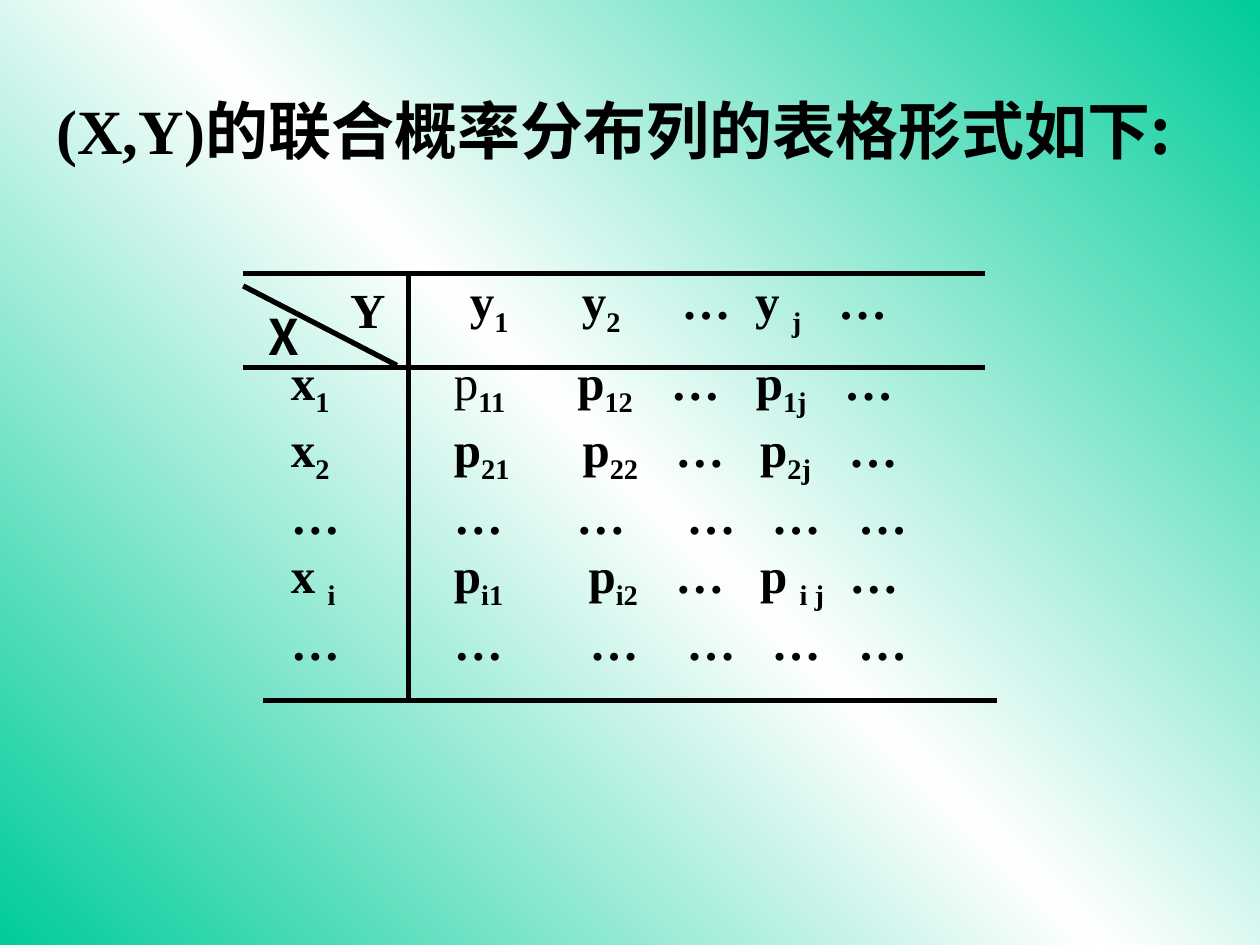
import copy
from typing import NamedTuple

import pptx
import pptx.dml.color
import pptx.enum.shapes
import pptx.enum.text
import pptx.oxml
import pptx.oxml.ns
import pptx.util

Pt = pptx.util.Pt
qn = pptx.oxml.ns.qn
BLACK = pptx.dml.color.RGBColor(0, 0, 0)
GREEN = pptx.dml.color.RGBColor(0x00, 0xCC, 0x99)
WHITE = pptx.dml.color.RGBColor(0xFF, 0xFF, 0xFF)
SERIF = "Times New Roman"
CJK = "Noto Sans CJK SC"
DOTS = "…"


class Span(NamedTuple):
    text: str
    font: str = SERIF
    sub: bool = False
    bold: bool = True


class Row(NamedTuple):
    spans: list[Span]
    stops: tuple[float, ...] = ()


class Box(NamedTuple):
    left: float
    top: float
    width: float
    height: float
    rows: list[Row]
    size: float = 28
    wrap: bool = True


class Rule(NamedTuple):
    x1: float
    y1: float
    x2: float
    y2: float


def cells(*items: str, indent: bool = False, bold_first: bool = True) -> list[Span]:
    """Turn items such as "p_12" into tab-separated spans with subscripts."""
    spans = []
    for i, item in enumerate(items):
        base, _, sub = item.partition("_")
        tab = "\t" if i or indent else ""
        spans.append(Span(tab + base, bold=bold_first or i > 0))
        if sub:
            spans.append(Span(sub, sub=True))
    return spans


def add_stops(p, stops: tuple[float, ...]) -> None:
    tab_list = pptx.oxml.parse_xml(f"<a:tabLst {pptx.oxml.ns.nsdecls('a')}/>")
    for stop in stops:
        tab = tab_list.makeelement(qn("a:tab"), {"pos": str(int(Pt(stop))), "algn": "l"})
        tab_list.append(tab)
    p._p.get_or_add_pPr().append(tab_list)


def add_span(p, span: Span, size: float) -> None:
    r = p.add_run()
    r.text = span.text
    f = r.font
    f.name, f.size, f.bold = span.font, Pt(size), span.bold
    f.color.rgb = BLACK
    rpr = r._r.get_or_add_rPr()
    rpr.append(rpr.makeelement(qn("a:ea"), {"typeface": span.font}))
    if span.sub:
        rpr.set("baseline", "-25000")


def add_box(s, box: Box) -> None:
    sp = s.shapes.add_textbox(Pt(box.left), Pt(box.top), Pt(box.width), Pt(box.height))
    tf = sp.text_frame
    tf.word_wrap = box.wrap
    for i, row in enumerate(box.rows):
        p = tf.add_paragraph() if i else tf.paragraphs[0]
        if row.stops:
            add_stops(p, row.stops)
        for span in row.spans:
            add_span(p, span, box.size)


def add_rule(s, rule: Rule) -> None:
    ln = s.shapes.add_connector(
        pptx.enum.shapes.MSO_CONNECTOR.STRAIGHT, *(Pt(v) for v in rule))
    ln.line.color.rgb = BLACK
    ln.line.width = Pt(3)
    sp_pr = ln._element.spPr
    sp_pr.append(sp_pr.makeelement(qn("a:effectLst"), {}))


def fill_background(s) -> None:
    fill = s.background.fill
    fill.gradient()
    fill.gradient_angle = 225
    stop_list = s._element.find(".//" + qn("a:gsLst"))
    stop_list.insert(1, copy.deepcopy(stop_list[0]))
    for stop, (pos, color) in zip(fill.gradient_stops, ((0, GREEN), (0.5, WHITE), (1, GREEN))):
        stop.position = pos
        stop.color.rgb = color


TITLE = Box(25.2, 49, 643.7, 93.6, [
    Row([Span("(X,Y)"), Span("的联合概率分布列的表格形式如下:", CJK)])], size=36)
X_LABEL = Box(146.2, 171.4, 33.1, 41, [Row([Span("X", CJK)])], wrap=False)
Y_LABEL = Box(193, 156.2, 54.7, 41, [Row([Span("Y")])])
X_VALUES = Box(159.1, 197.3, 42.5, 189.4, [
    Row(cells(item)) for item in ("x_1", "x_2", DOTS, "x _i", DOTS)], wrap=False)
Y_VALUES = Box(261.4, 151.2, 308.2, 45.4, [
    Row(cells("y_1", "y_2", DOTS, "y _j", DOTS), (64, 121, 163, 210.5))])
PROBABILITIES = Box(238.3, 197.3, 292, 189.4, [
    Row(cells("p_11", "p_12", DOTS, "p_1j", DOTS, indent=True, bold_first=False),
        (14, 84.5, 138, 186.5, 237)),
    Row(cells("p_21", "p_22", DOTS, "p_2j", DOTS, indent=True),
        (14, 87.5, 140.5, 189, 239.5)),
    Row(cells(*[DOTS] * 5, indent=True), (14, 84, 147, 195.5, 245)),
    Row(cells("p_i1", "p_i2", DOTS, "p _i j", DOTS, indent=True),
        (14, 91, 140.5, 189, 240)),
    Row(cells(*[DOTS] * 5, indent=True), (14, 91.5, 147, 195.5, 245)),
])

LEFT, RIGHT, TOP, HEADER, BOTTOM = 139, 563, 156.2, 210.2, 400.3
RULES = [
    Rule(LEFT, HEADER, RIGHT, HEADER),
    Rule(233.3, TOP, 233.3, BOTTOM),
    Rule(LEFT, 163.4, 226.8, 208.8),
    Rule(150.5, BOTTOM, 569.5, BOTTOM),
    Rule(LEFT, TOP, RIGHT, TOP),
]


def main() -> None:
    prs = pptx.Presentation()
    prs.slide_width, prs.slide_height = Pt(720), Pt(540)
    s = prs.slides.add_slide(prs.slide_layouts[6])
    fill_background(s)
    for box in (TITLE, X_LABEL, X_VALUES, Y_VALUES, PROBABILITIES):
        add_box(s, box)
    for rule in RULES:
        add_rule(s, rule)
    add_box(s, Y_LABEL)
    prs.save("out.pptx")


if __name__ == "__main__":
    main()
